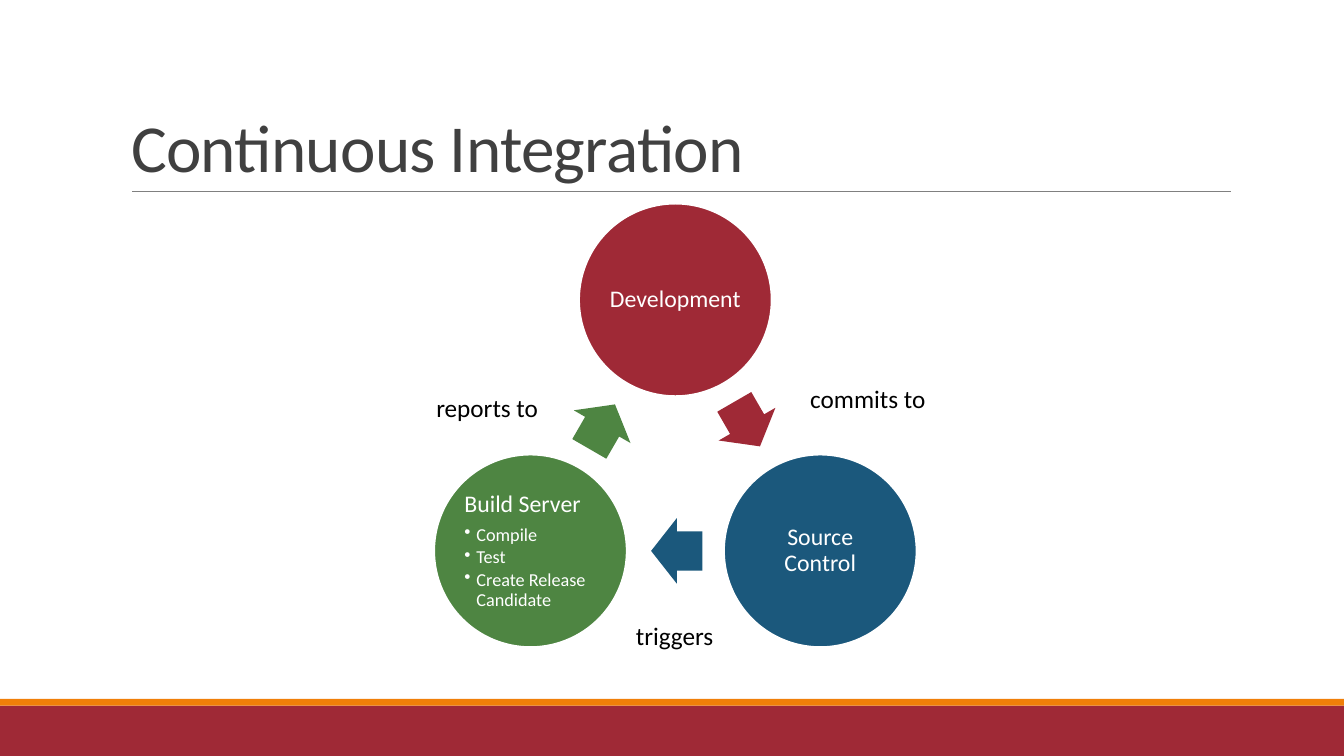
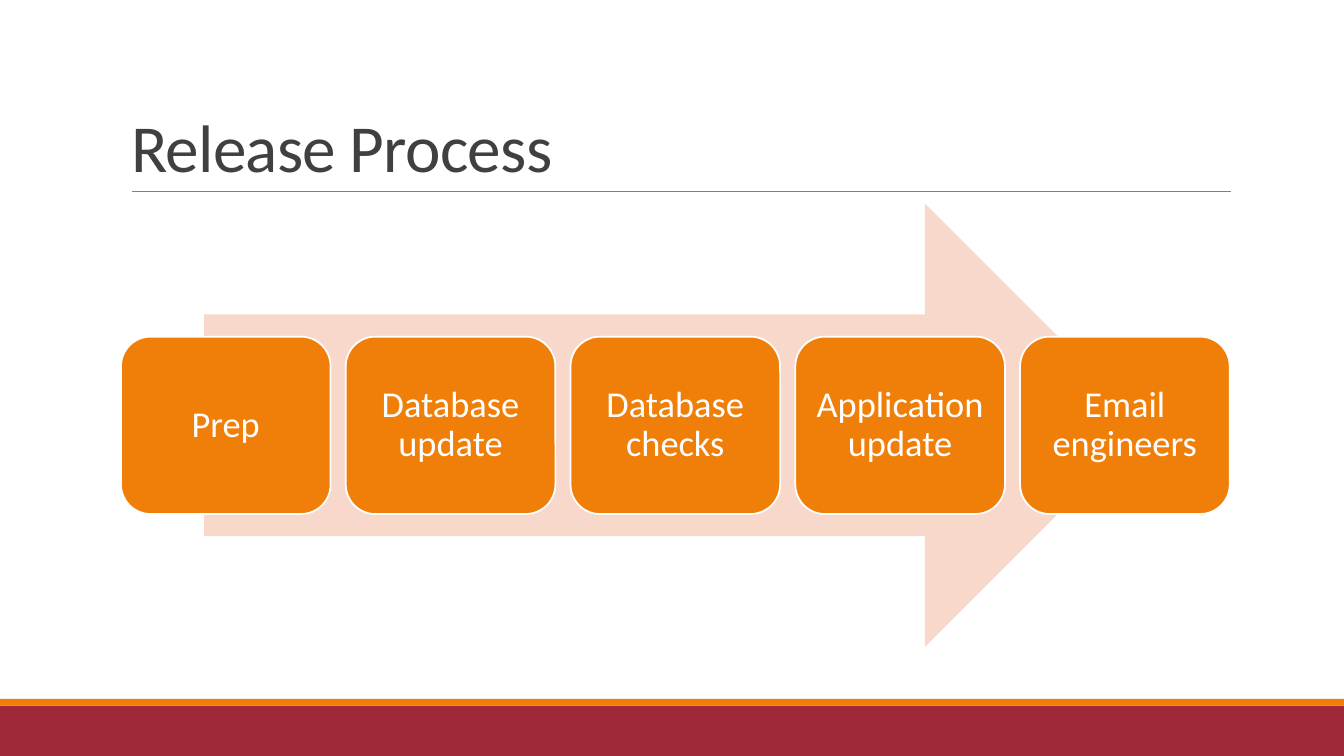
import dataclasses
import math

import pptx
import pptx.dml.color
import pptx.enum.shapes
import pptx.enum.text
import pptx.oxml.ns
import pptx.presentation
import pptx.shapes.autoshape
import pptx.slide
import pptx.text.text
import pptx.util
from lxml import etree

RGBColor = pptx.dml.color.RGBColor
Shape = pptx.enum.shapes.MSO_SHAPE
Align = pptx.enum.text.PP_ALIGN
Anchor = pptx.enum.text.MSO_ANCHOR
AutoSize = pptx.enum.text.MSO_AUTO_SIZE
Pt = pptx.util.Pt
qn = pptx.oxml.ns.qn

RED = RGBColor(0x9F, 0x29, 0x36)
ORANGE = RGBColor(0xF0, 0x7F, 0x09)
BLUE = RGBColor(0x1B, 0x58, 0x7C)
GREEN = RGBColor(0x4E, 0x85, 0x42)
PINK = RGBColor(0xF9, 0xD8, 0xCC)
WHITE = RGBColor(0xFF, 0xFF, 0xFF)
BLACK = RGBColor(0, 0, 0)
DARK_GRAY = RGBColor(0x40, 0x40, 0x40)
MID_GRAY = RGBColor(0x80, 0x80, 0x80)
FONT = "Calibri"

# The slide is a grid of square cells, 160 columns by 90 rows.
COLUMNS, ROWS = 160, 90
CELL = pptx.util.Inches(40 / 3) / COLUMNS


@dataclasses.dataclass(frozen=True)
class Area:
    """A rectangle in grid cells."""
    left: float
    top: float
    width: float
    height: float

    def emu(self) -> tuple[int, ...]:
        return tuple(cells(value) for value in dataclasses.astuple(self))


@dataclasses.dataclass(frozen=True)
class Stage:
    """A circle of the cycle, with the label of the arrow that leaves it."""
    name: str
    color: RGBColor
    label: str
    label_area: Area
    bullets: tuple[str, ...] = ()


TITLE = Area(14.4, 3.72, 132, 19.08)
CONTENT = Area(14.4, 24.24, 132, 52.8)
RULE_LEFT, RULE_RIGHT, RULE_ROW = 15.72, 146.52, 22.8
BANDS = ((Area(0, 84, COLUMNS, 6), RED), (Area(0, 83.2, COLUMNS, 0.8), ORANGE))

CIRCLE = 22.92
ARROW_LENGTH, ARROW_WIDTH = 6.12, 7.8
ARROW_SHARE = 0.495
STAGES = (
    Stage("Development", RED, "commits to", Area(95.28, 45, 16.32, 4.8)),
    Stage("Source Control", BLUE, "triggers", Area(74.52, 73.32, 11.76, 4.8)),
    Stage("Build Server", GREEN, "reports to", Area(50.76, 46.08, 14.64, 4.8),
          ("Compile", "Test", "Create Release Candidate")),
)

STEPS = ("Prep", "Database update", "Database checks", "Application update",
         "Email engineers")
STEP_GAP = 1.8
STEP_HEIGHT_SHARE = 0.4
PROCESS_ARROW_SHARE = 0.85


def cells(count: float) -> int:
    return round(count * CELL)


def centered(x: float, y: float, width: float, height: float) -> Area:
    return Area(x - width / 2, y - height / 2, width, height)


def add_filled(page: pptx.slide.Slide, kind: Shape, area: Area, fill: RGBColor,
               outlined: bool = False) -> pptx.shapes.autoshape.Shape:
    shape = page.shapes.add_shape(kind, *area.emu())
    shape.shadow.inherit = False
    shape.fill.solid()
    shape.fill.fore_color.rgb = fill
    if outlined:
        shape.line.color.rgb = WHITE
        shape.line.width = Pt(1.25)
    else:
        shape.line.fill.background()
    return shape


def style(para: pptx.text.text._Paragraph, size: float, color: RGBColor,
          align: Align = Align.LEFT, spacing: float = 1, after: float = 0) -> None:
    para.font.name = FONT
    para.font.size = Pt(size)
    para.font.color.rgb = color
    para.alignment = align
    para.line_spacing = spacing
    para.space_after = Pt(after)


def set_caption(shape: pptx.shapes.autoshape.Shape, text: str, size: float,
                inset: float, align: Align = Align.CENTER) -> None:
    """Write white text inside a shape, centred vertically."""
    frame = shape.text_frame
    frame.word_wrap = True
    frame.vertical_anchor = Anchor.MIDDLE
    frame.margin_left = frame.margin_right = pptx.util.Inches(inset)
    frame.margin_top = frame.margin_bottom = pptx.util.Inches(inset)
    frame.text = text
    style(frame.paragraphs[0], size, WHITE, align, 0.9, size * 0.35)


def add_bullet(shape: pptx.shapes.autoshape.Shape, text: str) -> None:
    para = shape.text_frame.add_paragraph()
    para.text = text
    para.level = 1
    style(para, 13, WHITE, spacing=0.9, after=2)
    properties = para._p.get_or_add_pPr()
    indent = pptx.util.Inches(0.12)
    properties.set("marL", str(indent))
    properties.set("indent", str(-indent))
    etree.SubElement(properties, qn("a:buChar")).set("char", "•")


def add_label(page: pptx.slide.Slide, text: str, area: Area) -> None:
    frame = page.shapes.add_textbox(*area.emu()).text_frame
    frame.word_wrap = False
    frame.auto_size = AutoSize.SHAPE_TO_FIT_TEXT
    frame.text = text
    style(frame.paragraphs[0], 18, BLACK)


def add_page(deck: pptx.presentation.Presentation, title: str) -> pptx.slide.Slide:
    """Add a slide with the shared bands, title and rule."""
    page = deck.slides.add_slide(deck.slide_layouts.get_by_name("Title Only"))
    for area, color in BANDS:
        add_filled(page, Shape.RECTANGLE, area, color)

    rule = page.shapes.add_connector(
        pptx.enum.shapes.MSO_CONNECTOR.STRAIGHT,
        cells(RULE_LEFT), cells(RULE_ROW), cells(RULE_RIGHT), cells(RULE_ROW))
    rule.line.color.rgb = MID_GRAY
    rule.line.width = Pt(0.5)
    etree.SubElement(rule._element.spPr, qn("a:effectLst"))

    box = page.shapes.title
    box.left, box.top, box.width, box.height = TITLE.emu()
    frame = box.text_frame
    frame.text = title
    frame.word_wrap = True
    frame.auto_size = AutoSize.NONE
    frame.vertical_anchor = Anchor.BOTTOM
    para = frame.paragraphs[0]
    style(para, 48, DARK_GRAY, spacing=0.85)
    para.runs[0].font._element.set("spc", "-50")
    return page


def draw_cycle(page: pptx.slide.Slide) -> None:
    """Place the stages on a circle, clockwise from the top, joined by arrows."""
    radius = (CONTENT.height - CIRCLE) / 1.5
    middle_x = CONTENT.left + CONTENT.width / 2
    middle_y = CONTENT.top + CIRCLE / 2 + radius
    turn = 360 / len(STAGES)
    angles = [math.radians(turn * index) for index in range(len(STAGES))]
    centers = [(middle_x + radius * math.sin(angle),
                middle_y - radius * math.cos(angle)) for angle in angles]

    for index, stage in enumerate(STAGES):
        x, y = centers[index]
        next_x, next_y = centers[(index + 1) % len(STAGES)]
        circle = add_filled(page, Shape.OVAL, centered(x, y, CIRCLE, CIRCLE),
                            stage.color, outlined=True)
        align = Align.LEFT if stage.bullets else Align.CENTER
        set_caption(circle, stage.name, 17, 0.02, align)
        for bullet in stage.bullets:
            add_bullet(circle, bullet)

        arrow_area = centered(x + (next_x - x) * ARROW_SHARE,
                              y + (next_y - y) * ARROW_SHARE,
                              ARROW_LENGTH, ARROW_WIDTH)
        arrow = add_filled(page, Shape.RIGHT_ARROW, arrow_area, stage.color)
        arrow.adjustments[0] = 0.6
        arrow.rotation = turn * (index + 0.5)
        add_label(page, stage.label, stage.label_area)


def draw_process(page: pptx.slide.Slide) -> None:
    """Line up the steps in equal columns over a wide arrow."""
    middle_x = CONTENT.left + CONTENT.width / 2
    middle_y = CONTENT.top + CONTENT.height / 2
    add_filled(page, Shape.RIGHT_ARROW,
               centered(middle_x, middle_y, CONTENT.width * PROCESS_ARROW_SHARE,
                        CONTENT.height), PINK)
    width = (CONTENT.width + STEP_GAP) / len(STEPS) - STEP_GAP
    height = CONTENT.height * STEP_HEIGHT_SHARE
    for index, name in enumerate(STEPS):
        left = CONTENT.left + index * (width + STEP_GAP)
        step = add_filled(page, Shape.ROUNDED_RECTANGLE,
                          Area(left, middle_y - height / 2, width, height),
                          ORANGE, outlined=True)
        set_caption(step, name, 26, 0.11)


def main() -> None:
    deck = pptx.Presentation()
    deck.slide_width, deck.slide_height = cells(COLUMNS), cells(ROWS)
    draw_cycle(add_page(deck, "Continuous Integration"))
    draw_process(add_page(deck, "Release Process"))
    deck.save("out.pptx")


if __name__ == "__main__":
    main()
